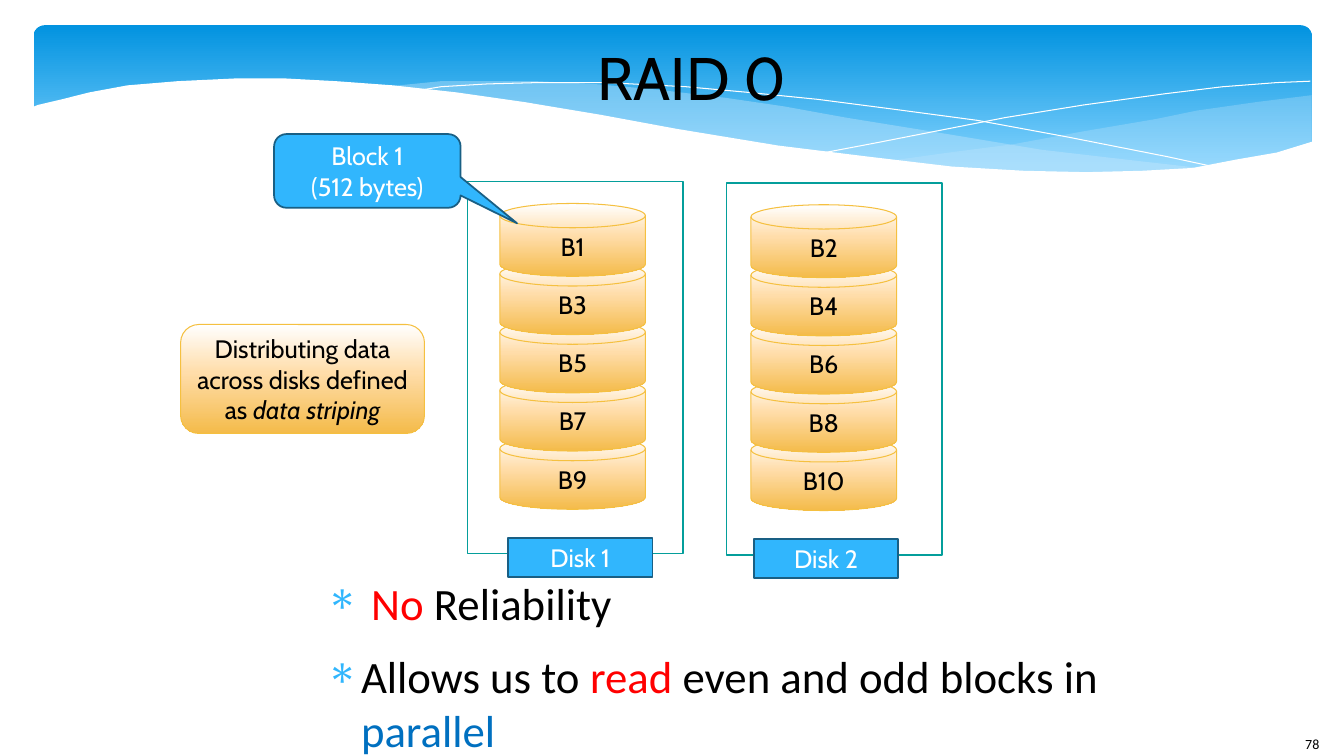
from copy import deepcopy

from lxml import etree
from pptx import Presentation
from pptx.dml.color import RGBColor
from pptx.enum.shapes import MSO_SHAPE
from pptx.enum.text import MSO_ANCHOR, PP_ALIGN
from pptx.oxml.ns import qn
from pptx.util import Pt

ROUNDED = MSO_SHAPE.ROUNDED_RECTANGLE
PROCESS = MSO_SHAPE.FLOWCHART_PROCESS
CYLINDER = MSO_SHAPE.FLOWCHART_MAGNETIC_DISK
CALLOUT = MSO_SHAPE.ROUNDED_RECTANGULAR_CALLOUT
MIDDLE = MSO_ANCHOR.MIDDLE
CENTER = PP_ALIGN.CENTER

COLORS = {
    "black": "000000", "white": "FFFFFF", "red": "FF0000", "parallel": "0070C0",
    "sky": "31B6FD", "navy": "195F84", "teal": "049E9B", "gold": "F5C040",
    "wave": "C6E7FC",
}
GOLD_STOPS = [(0, "FFFFFF"), (0.44, "FFDDAA"), (1, "F4BB4A")]
BANNER_STOPS = [(0, "0293E0"), (0.9, "83D3FE")]

BACK_WAVE = [
    (913, 50), (873, 55), (831, 61), (802, 67), (749, 76), (700, 85), (654, 91),
    (611, 97), (653, 101), (691, 104), (726, 106), (767, 106), (805, 104),
    (837, 101), (867, 96), (888, 91), (913, 84),
]
MIDDLE_WAVE = [
    (833, 102), (780, 96), (720, 89), (654, 78), (580, 66), (536, 58), (495, 52),
    (445, 46), (400, 42), (359, 40), (323, 40), (291, 40), (251, 44), (286, 47),
    (324, 52), (364, 58), (407, 66), (484, 79), (537, 87), (585, 94), (629, 99),
    (669, 103), (706, 105), (751, 107), (790, 106),
]
FALLING_LINE = [
    (273, 47), (291, 44), (324, 42), (361, 41), (408, 41), (466, 44), (510, 48),
    (560, 53), (614, 60), (674, 68), (739, 80), (810, 94), (847, 102),
]
RISING_LINE = [
    (565, 91), (602, 84), (643, 76), (694, 66), (750, 57), (808, 49), (849, 44),
    (888, 41), (912, 40),
]
FRONT_WAVE = [
    (914, 83), (888, 91), (859, 96), (828, 102), (792, 104), (752, 105), (707, 104),
    (656, 101), (597, 94), (532, 86), (459, 74), (405, 64), (351, 55), (302, 48),
    (257, 43), (216, 40), (179, 38), (145, 38), (103, 40), (67, 43), (40, 48),
    (20, 53), (3, 57), (-2, 59), (-2, 143), (914, 143),
]


def rgb(name):
    return RGBColor.from_string(COLORS[name])


def paint_gradient(fill, stops):
    fill.gradient()
    fill.gradient_angle = 270
    stop_list = fill.gradient_stops[0]._gs.getparent()
    for _ in stops[2:]:
        stop_list.append(deepcopy(stop_list[0]))
    for stop, (position, color) in zip(fill.gradient_stops, stops):
        stop.position = position
        stop.color.rgb = RGBColor.from_string(color)


def paint(shape, fill=None, line=None, width=0.0):
    shape.shadow.inherit = False
    if isinstance(fill, list):
        paint_gradient(shape.fill, fill)
    elif fill:
        shape.fill.solid()
        shape.fill.fore_color.rgb = rgb(fill)
    else:
        shape.fill.background()
    if line:
        shape.line.color.rgb = rgb(line)
        shape.line.width = Pt(width)
    else:
        shape.line.fill.background()


def format_run(run, size, color, font="Cabin"):
    run.font.size = Pt(size)
    run.font.name = font
    run.font.color.rgb = rgb(color)


def add_panel(slide, kind, box, fill, line=None, width=0.0, text="", color="black"):
    panel = slide.shapes.add_shape(kind, *map(Pt, box))
    paint(panel, fill, line, width)
    if text:
        panel.text_frame.text = text
        panel.text_frame.vertical_anchor = MIDDLE
        for paragraph in panel.text_frame.paragraphs:
            paragraph.alignment = CENTER
            format_run(paragraph.runs[0], 18, color)
    return panel


def add_text_area(slide, box, inset=0):
    frame = slide.shapes.add_textbox(*map(Pt, box)).text_frame
    frame.word_wrap = True
    frame.margin_left = frame.margin_right = Pt(inset)
    frame.margin_top = frame.margin_bottom = Pt(inset / 2)
    return frame


def add_wave(slide, origin, points, fill=None, opacity=100):
    builder = slide.shapes.build_freeform(*points[0], scale=Pt(1))
    builder.add_line_segments(points[1:], close=fill is not None)
    wave = builder.convert_to_shape(*map(Pt, origin))
    paint(wave, fill, None if fill else "white")
    if opacity < 100:
        tint = wave.fill._xPr.find(qn("a:solidFill"))[0]
        etree.SubElement(tint, qn("a:alpha"), val=str(opacity * 1000))


def add_banner(slide, box):
    banner = add_panel(slide, ROUNDED, box, BANNER_STOPS)
    banner.adjustments[0] = 0.071
    origin = box[:2]
    add_wave(slide, origin, BACK_WAVE, "wave", 29)
    add_wave(slide, origin, MIDDLE_WAVE, "wave", 40)
    add_wave(slide, origin, FALLING_LINE)
    add_wave(slide, origin, RISING_LINE)
    add_wave(slide, origin, FRONT_WAVE, "white")


def add_title(slide, box, text):
    frame = add_text_area(slide, box)
    frame.vertical_anchor = MIDDLE
    frame.text = text
    frame.paragraphs[0].alignment = CENTER
    format_run(frame.paragraphs[0].runs[0], 42.9, "black")


def add_disk(slide, box, number, stack_inset, label_inset):
    left, top, _, _ = box
    add_panel(slide, PROCESS, box, "white", "teal", 1.25)
    for row in reversed(range(5)):
        block_box = (left + stack_inset, top + 15.8 + 41.6 * row, 104, 52)
        add_panel(slide, CYLINDER, block_box, GOLD_STOPS, "gold", 0.75,
                  f"B{2 * row + number}")
    label_box = (left + label_inset, top + 254.5, 103, 28)
    add_panel(slide, PROCESS, label_box, "sky", "navy", 1.25, f"Disk {number}", "white")


def add_block_callout(slide, box):
    callout = add_panel(slide, CALLOUT, box, "sky", "navy", 1.25,
                        "Block 1\n(512 bytes)", "white")
    for index, value in enumerate((0.803, 0.711, 0.167)):
        callout.adjustments[index] = value


def add_striping_note(slide, box):
    note = add_panel(slide, ROUNDED, box, GOLD_STOPS, "gold", 0.75,
                     "Distributing data across disks defined as ")
    term = note.text_frame.paragraphs[0].add_run()
    term.text = "data striping"
    format_run(term, 18, "black")
    term.font.italic = True


def add_properties(slide, box):
    properties = [
        [(" ", "black"), ("No", "red"), (" Reliability", "black")],
        [("Allows us to ", "black"), ("read", "red"),
         (" even and odd blocks in ", "black"), ("\v", None), ("parallel", "parallel")],
    ]
    frame = add_text_area(slide, box)
    for index, pieces in enumerate(properties):
        paragraph = frame.add_paragraph() if index else frame.paragraphs[0]
        paragraph.space_after = Pt(14.1)
        layout = paragraph._p.get_or_add_pPr()
        layout.set("marL", str(Pt(34)))
        layout.set("indent", str(-Pt(25)))
        bullet_color = etree.SubElement(layout, qn("a:buClr"))
        etree.SubElement(bullet_color, qn("a:srgbClr"), val=COLORS["sky"])
        etree.SubElement(layout, qn("a:buChar"), char="∗")
        for text, color in pieces:
            if color is None:
                paragraph.add_line_break()
                continue
            run = paragraph.add_run()
            run.text = text
            format_run(run, 32, color, "Calibri")


def add_page_number(slide, box, number):
    frame = add_text_area(slide, box, 7.2)
    frame.word_wrap = False
    frame.text = number
    format_run(frame.paragraphs[0].runs[0], 10, "black", "Calibri")


def main():
    deck = Presentation()
    deck.slide_width, deck.slide_height = Pt(960), Pt(540)
    slide = deck.slides.add_slide(deck.slide_layouts[6])
    add_banner(slide, (24, 18, 913, 112))
    add_page_number(slide, (925.2, 522, 34, 18), "78")
    add_title(slide, (202.3, 18, 584, 73.4), "RAID 0")
    add_disk(slide, (334, 129.6, 154, 265.7), 1, 23, 29)
    add_disk(slide, (519, 130.5, 154, 265.7), 2, 17.4, 19.6)
    add_properties(slide, (223.9, 411, 630.7, 108.7))
    add_block_callout(slide, (195.8, 95.8, 133.2, 52.6))
    add_striping_note(slide, (129, 231.8, 174.2, 77.8))
    deck.save("out.pptx")


if __name__ == "__main__":
    main()
